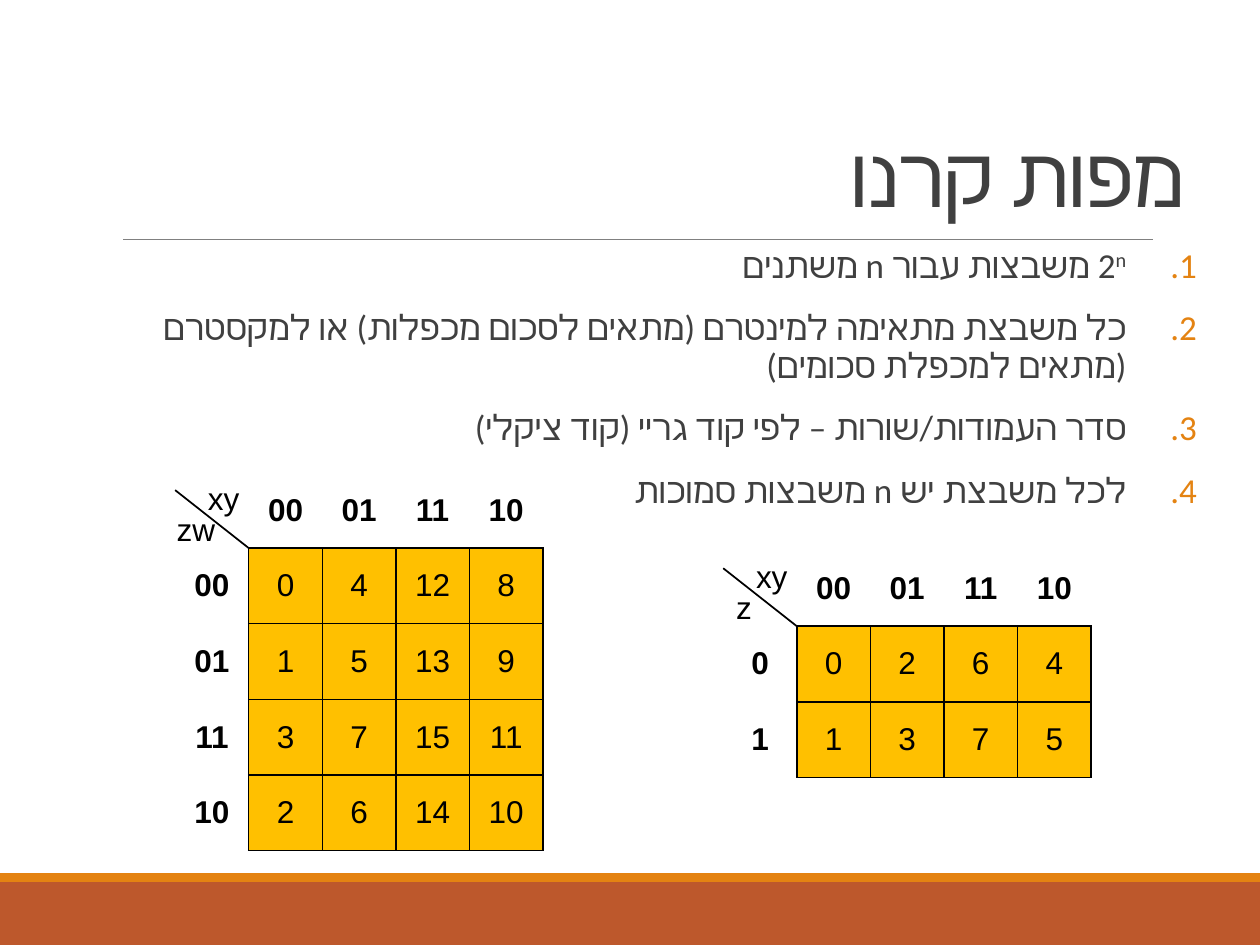
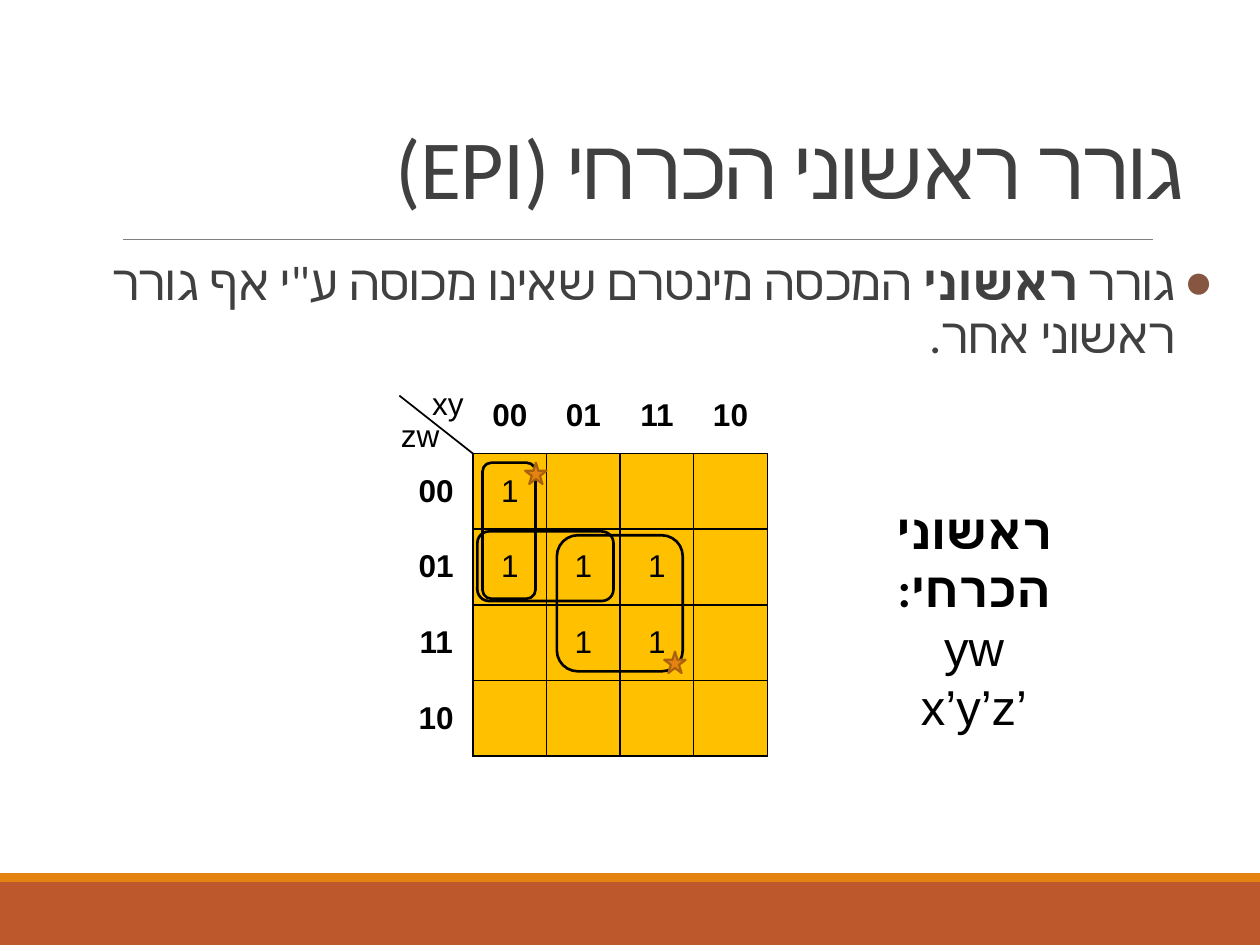
from lxml import etree
from pptx import Presentation, util as u
from pptx.dml.color import RGBColor
from pptx.enum import shapes, text
from pptx.oxml.ns import qn

HUE = {"brick": "BD582C", "orange": "E48312", "rule": "808080", "text": "404040",
       "ink": "000000", "cell": "FFC000", "dot": "865640", "edge": "A9610D"}
GRAY = ["00", "01", "11", "10"]
COL, ROW = 0.584, 0.6
KIND = shapes.MSO_SHAPE
ALIGN = text.PP_ALIGN

STEPS = [
    [("2", ""), ("n", "sup"), (" משבצות עבור n משתנים", "")],
    [("כל משבצת מתאימה למינטרם (מתאים לסכום מכפלות) או למקסטרם (מתאים למכפלת סכומים)", "")],
    [("סדר העמודות/שורות – לפי קוד גריי (קוד ציקלי)", "")],
    [("לכל משבצת יש n משבצות סמוכות", "")],
]
RULE = [[("גורר ", ""), ("ראשוני", "bold"),
         (" המכסה מינטרם שאינו מכוסה ע\"י אף גורר ראשוני אחר.", "")]]
NUMBER = ("buAutoNum", {"type": "arabicPeriod"})
BULLET = ("buChar", {"char": "●"})

PAGES = [
    {"title": "מפות קרנו", "top": 0.58,
     "body": {"rows": STEPS, "box": (0.5, 1.92, 9, 2.24), "size": 20, "dent": 0.56,
              "after": 2, "mark": NUMBER, "hue": "orange"},
     "maps": [
         {"at": (1.39, 3.75), "side": "zw", "heads": GRAY,
          "vals": [[0, 4, 12, 8], [1, 5, 13, 9], [3, 7, 15, 11], [2, 6, 14, 10]]},
         {"at": (5.74, 4.37), "side": "z", "heads": ["0", "1"],
          "vals": [[0, 2, 6, 4], [1, 3, 7, 5]]}]},
    {"title": "גורר ראשוני הכרחי (EPI)", "top": 0.52,
     "body": {"rows": RULE, "box": (0.33, 2, 9.3, 0.66), "size": 28, "dent": 0.3,
              "after": 0, "mark": BULLET, "hue": "dot"},
     "maps": [
         {"at": (3.17, 3), "side": "zw", "heads": GRAY,
          "vals": [[1, "", "", ""], [1, 1, 1, ""], ["", 1, 1, ""], [""] * 4],
          "loops": [(1.14, 1.08, 1.71, 1.8), (0.06, 1.03, 1.85, 0.92),
                    (0.13, 0.12, 0.72, 1.8)],
          "stars": [(2.6, 2.62), (0.71, 0.12)]}],
     "answer": ["ראשוני הכרחי:", "yw", "x’y’z’"]},
]


def rgb(name):
    return RGBColor.from_string(HUE[name])


def inch(*nums):
    return [u.Inches(n) for n in nums]


def add(parent, tag, **attrs):
    return etree.SubElement(parent, qn("a:" + tag), attrs)


def style(par, size, face, hue, bold=False, align=ALIGN.CENTER, rtl=False):
    par.alignment = align
    if rtl:
        par._p.get_or_add_pPr().set("rtl", "1")
    for font in (par.font, *(run.font for run in par.runs)):
        font.size, font.name, font.bold = u.Pt(size), face, bold
        font.color.rgb = rgb(hue)
    for run in par.runs:
        add(run._r.get_or_add_rPr(), "cs", typeface="Calibri")


def shape(slide, kind, box, fill=None, line=None, width=1):
    item = slide.shapes.add_shape(kind, *inch(*box))
    item.shadow.inherit = False
    if fill:
        item.fill.solid()
        item.fill.fore_color.rgb = rgb(fill)
    else:
        item.fill.background()
    if line:
        item.line.color.rgb = rgb(line)
        item.line.width = u.Pt(width)
    else:
        item.line.fill.background()


def rule(slide, ends, hue, width):
    line = slide.shapes.add_connector(shapes.MSO_CONNECTOR.STRAIGHT, *inch(*ends))
    line.line.color.rgb = rgb(hue)
    line.line.width = u.Pt(width)
    add(line._element.spPr, "effectLst")


def label(slide, words, x, y):
    box = slide.shapes.add_textbox(*inch(x, y, 0.51, 0.4))
    box.text_frame.word_wrap = False
    box.text_frame.text = words
    style(box.text_frame.paragraphs[0], 18, "Arial", "ink")


def frame(slide, title, top):
    shape(slide, KIND.RECTANGLE, (0, 7, 10, 0.5), "brick")
    shape(slide, KIND.RECTANGLE, (0, 6.93, 10, 0.07), "orange")
    rule(slide, (0.98, 1.9, 9.15, 1.9), "rule", 0.5)
    head = slide.shapes.title
    head.left, head.top, head.width, head.height = inch(0.5, top, 9, 1.25)
    area = head.text_frame
    area.text = title
    area.vertical_anchor = text.MSO_ANCHOR.BOTTOM
    area.auto_size = text.MSO_AUTO_SIZE.NONE
    par = area.paragraphs[0]
    par.line_spacing = 0.85
    style(par, 48, "Calibri", "text", align=ALIGN.RIGHT, rtl=True)
    par.runs[0]._r.get_or_add_rPr().set("spc", "-50")


def fill_body(slide, rows, box, size, dent, after, mark, hue):
    body = slide.placeholders[1]
    body.left, body.top, body.width, body.height = inch(*box)
    area = body.text_frame
    area.auto_size = text.MSO_AUTO_SIZE.NONE
    area.margin_left = area.margin_right = 0
    for i, row in enumerate(rows):
        par = area.add_paragraph() if i else area.paragraphs[0]
        par.line_spacing = 0.9
        par.space_before, par.space_after = u.Pt(12), u.Pt(after)
        props = par._p.get_or_add_pPr()
        props.set("marL", str(u.Inches(dent)))
        props.set("indent", str(-u.Inches(dent)))
        add(add(props, "buClr"), "srgbClr", val=HUE[hue])
        add(props, "buFont", typeface="Arial")
        add(props, mark[0], **mark[1])
        for words, _ in row:
            par.add_run().text = words
        style(par, size, "Calibri", "text", align=ALIGN.RIGHT, rtl=True)
        for run, (_, look) in zip(par.runs, row):
            if look == "bold":
                run.font.bold = True
            elif look == "sup":
                run._r.get_or_add_rPr().set("baseline", "30000")


def borders(cell, sides):
    props = cell._tc.get_or_add_tcPr()
    for i, side in enumerate("LRTB"):
        line = etree.Element(qn("a:ln" + side), w=str(u.Pt(1)))
        if side in sides:
            add(add(line, "solidFill"), "srgbClr", val=HUE["ink"])
        else:
            add(line, "noFill")
        props.insert(i, line)


def karnaugh(slide, at, side, heads, vals, loops=(), stars=()):
    x, y = at
    data = [["", *GRAY]] + [[head, *row] for head, row in zip(heads, vals)]
    high, wide = len(data), len(data[0])
    table = slide.shapes.add_table(high, wide, *inch(x, y, wide * COL, high * ROW)).table
    table.first_row = table.horz_banding = False
    for col in table.columns:
        col.width = u.Inches(COL)
    for r, row in enumerate(data):
        table.rows[r].height = u.Inches(ROW)
        for c, value in enumerate(row):
            cell = table.cell(r, c)
            cell.vertical_anchor = text.MSO_ANCHOR.MIDDLE
            cell.text = str(value)
            inner = r > 0 and c > 0
            style(cell.text_frame.paragraphs[0], 18, "Arial", "ink", not inner)
            if inner:
                cell.fill.solid()
                cell.fill.fore_color.rgb = rgb("cell")
            else:
                cell.fill.background()
            borders(cell, "LRTB" if inner else "B" if c else "R" if r else "")
    rule(slide, (x + COL, y + ROW, x, y + 0.14), "ink", 1)
    label(slide, "xy", x + 0.13, y)
    label(slide, side, x - 0.09, y + 0.25)
    left, top = x + COL, y + ROW
    for c, r, w, h in loops:
        shape(slide, KIND.ROUNDED_RECTANGLE,
              (left + c * COL, top + r * ROW, w * COL, h * ROW), line="ink", width=1.5)
    for c, r in stars:
        shape(slide, KIND.STAR_5_POINT, (left + c * COL, top + r * ROW, 0.17, 0.17),
              "orange", "edge", 1.25)


def answer(slide, lines):
    area = slide.shapes.add_textbox(*inch(6.42, 3.92, 2.62, 1.51)).text_frame
    area.word_wrap = True
    area.margin_left = area.margin_right = u.Inches(0.5)
    for i, words in enumerate(lines):
        par = area.add_paragraph() if i else area.paragraphs[0]
        par.text = words
        style(par, 28, "Arial", "ink", bold=i == 0, rtl=i == 0)


def main():
    deck = Presentation()
    deck.slide_width, deck.slide_height = inch(10, 7.5)
    for page in PAGES:
        slide = deck.slides.add_slide(deck.slide_layouts[1])
        frame(slide, page["title"], page["top"])
        fill_body(slide, **page["body"])
        for grid in page["maps"]:
            karnaugh(slide, **grid)
        if "answer" in page:
            answer(slide, page["answer"])
    deck.save("out.pptx")


if __name__ == "__main__":
    main()
